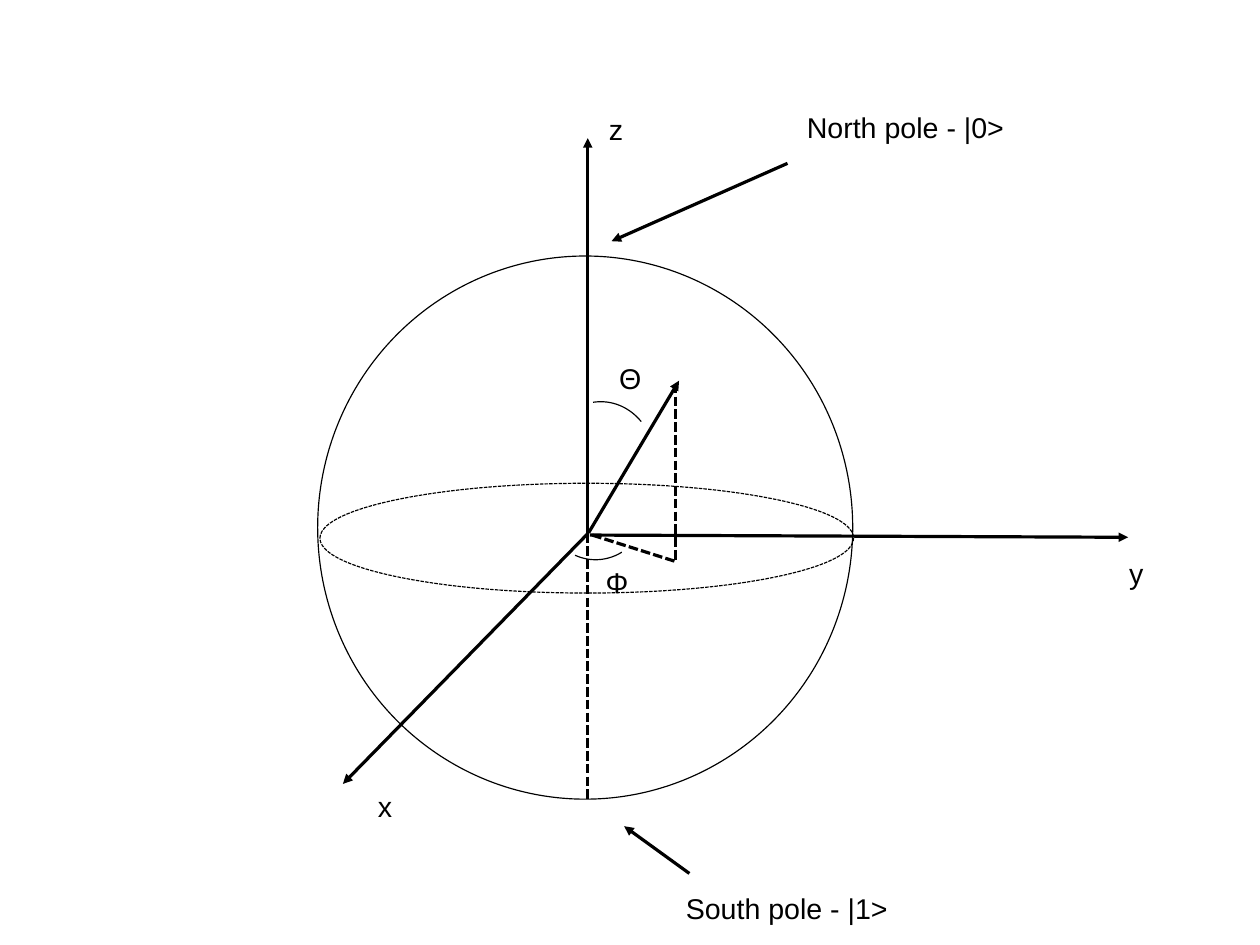
from lxml.etree import SubElement
from pptx import Presentation
from pptx.dml.color import RGBColor
from pptx.enum.dml import MSO_LINE
from pptx.enum.shapes import MSO_CONNECTOR, MSO_SHAPE
from pptx.enum.text import MSO_AUTO_SIZE
from pptx.oxml.ns import qn
from pptx.util import Cm, Pt

COLORS = {"ink": "000000"}
FONT = {"name": "Arial", "size": Pt(18), "bold": False}
FRAME = {
    "word_wrap": True, "auto_size": MSO_AUTO_SIZE.SHAPE_TO_FIT_TEXT,
    "margin_left": Cm(0.25), "margin_right": Cm(0.25),
    "margin_top": Cm(0.13), "margin_bottom": Cm(0.13),
}


def bezier(points, steps=24):
    """Sample a cubic curve given by its four control points."""
    for i in range(steps + 1):
        t = i / steps
        weights = ((1 - t) ** 3, 3 * t * (1 - t) ** 2, 3 * t ** 2 * (1 - t), t ** 3)
        yield tuple(Cm(sum(w * p[axis] for w, p in zip(weights, points)))
                    for axis in (0, 1))


class Diagram:
    def __init__(self, slide):
        self.slide = slide
        self.shapes = slide.shapes
        self.ink = RGBColor.from_string(COLORS["ink"])

    def outline(self, sp, dashed=False):
        sp.line.color.rgb = self.ink
        sp.line.width = Pt(0)
        if dashed:
            sp.line.dash_style = MSO_LINE.SQUARE_DOT

    def ellipse(self, x, y, w, h, dashed=False):
        sp = self.shapes.add_shape(MSO_SHAPE.OVAL, Cm(x), Cm(y), Cm(w), Cm(h))
        sp.shadow.inherit = False
        sp.fill.background()
        self.outline(sp, dashed)

    def line(self, start, end, dashed=False, arrow=False):
        sp = self.shapes.add_connector(
            MSO_CONNECTOR.STRAIGHT, *(Cm(v) for v in (*start, *end)))
        self.outline(sp, dashed)
        if arrow:
            SubElement(sp.line._get_or_add_ln(), qn("a:tailEnd"), type="triangle")
        SubElement(sp._element.spPr, qn("a:effectLst"))

    def arc(self, *points):
        first, *rest = bezier(points)
        builder = self.shapes.build_freeform(*first)
        builder.add_line_segments(rest, close=False)
        sp = builder.convert_to_shape()
        sp.shadow.inherit = False
        sp.fill.background()
        self.outline(sp)

    def label(self, text, x, y, w):
        sp = self.shapes.add_textbox(Cm(x), Cm(y), Cm(w), Cm(0.97))
        tf = sp.text_frame
        for key, value in FRAME.items():
            setattr(tf, key, value)
        r = tf.paragraphs[0].add_run()
        r.text = text
        for key, value in FONT.items():
            setattr(r.font, key, value)
        r.font.color.rgb = self.ink


def main():
    prs = Presentation()
    prs.slide_width, prs.slide_height = Cm(28), Cm(21)
    d = Diagram(prs.slides.add_slide(prs.slide_layouts[6]))

    # Sphere and equator
    d.ellipse(7.06, 5.69, 11.89, 12.07)
    d.ellipse(7.11, 10.74, 11.86, 2.44, dashed=True)

    # Axes, pole pointers and state vector
    for start, end in (
        ((13.06, 11.91), (13.06, 3.07)),
        ((13.11, 11.89), (25.07, 11.94)),
        ((13.06, 11.86), (7.62, 17.42)),
        ((17.5, 3.63), (13.59, 5.36)),
        ((15.32, 19.41), (13.87, 18.36)),
        ((13.08, 11.84), (15.09, 8.46)),
    ):
        d.line(start, end, arrow=True)

    # Lower z axis and projection of the state
    for start, end in (
        ((13.06, 11.86), (13.06, 17.75)),
        ((15.01, 8.53), (15.01, 12.45)),
        ((13.16, 11.89), (14.99, 12.47)),
    ):
        d.line(start, end, dashed=True)

    # Angles theta and phi
    d.arc((13.18, 8.94), (13.87, 8.84), (14.25, 9.37), (14.25, 9.37))
    d.arc((12.78, 12.34), (13.36, 12.6), (13.82, 12.27), (13.82, 12.27))

    # Labels
    for text, x, y, w in (
        ("z", 13.28, 2.36, 1.32),
        ("y", 24.84, 12.22, 1.32),
        ("x", 8.15, 17.4, 1.32),
        ("North pole - |0>", 17.68, 2.31, 8.33),
        ("South pole - |1>", 14.99, 19.66, 8.33),
        ("Θ", 13.51, 7.9, 1.04),
        ("Φ", 13.21, 12.42, 1.04),
    ):
        d.label(text, x, y, w)

    prs.save("out.pptx")


if __name__ == "__main__":
    main()
